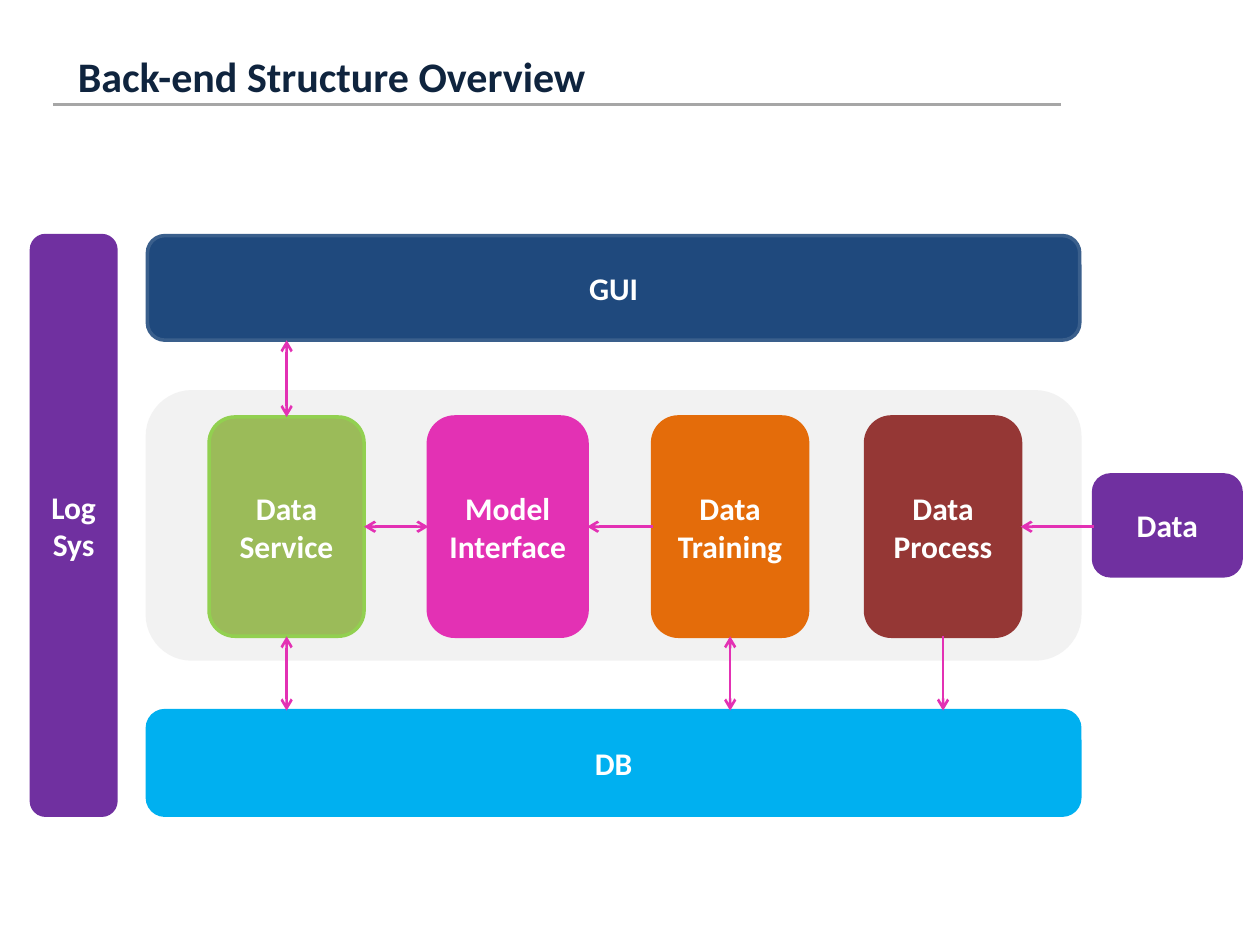
from lxml.etree import SubElement
from pptx import Presentation
from pptx.dml.color import RGBColor
from pptx.enum.shapes import MSO_CONNECTOR, MSO_SHAPE
from pptx.enum.text import MSO_ANCHOR, MSO_AUTO_SIZE, PP_ALIGN
from pptx.oxml.ns import qn
from pptx.util import Inches, Pt

COLORS = {
    "title": "0F243E", "rule": "A6A6A6", "text": "FFFFFF", "arrow": "E331B4",
    "purple": "7030A0", "panel": "F2F2F2", "navy": "1F497D", "navy edge": "3A5F8C",
    "sky": "00B0F0", "green": "9BBB59", "lime": "92D050", "pink": "E331B4",
    "orange": "E46C0A", "brown": "953735",
}
TITLE = "Back-end Structure Overview"
TITLE_FORMAT = {"name": "Calibri", "size": Pt(24), "bold": True}
LABEL_FORMAT = {"name": "Calibri", "size": Pt(18), "bold": True}

LAYER_LEFT, LAYER_WIDTH, LAYER_HEIGHT = 1.17, 7.4, 0.83
GUI_TOP, DB_TOP = 1.87, 5.64
MODULE_TOP, MODULE_HEIGHT = 3.31, 1.74

# name: (left, width, fill, edge, paragraphs)
MODULES = {
    "service": (1.66, 1.23, "green", "lime", ["Data Service"]),
    "model": (3.4, 1.26, "pink", "pink", ["Model", "Interface"]),
    "training": (5.18, 1.23, "orange", "orange", ["Data Training"]),
    "process": (6.87, 1.23, "brown", "brown", ["Data Process"]),
}
# name: (left, top, width, height, fill, edge, paragraphs)
BOXES = {
    "data": (8.68, 3.77, 1.17, 0.8, "purple", "purple", ["Data"]),
    "panel": (LAYER_LEFT, 3.11, LAYER_WIDTH, 2.12, "panel", "panel", []),
    "gui": (LAYER_LEFT, GUI_TOP, LAYER_WIDTH, LAYER_HEIGHT, "navy", "navy edge", ["GUI"]),
    "db": (LAYER_LEFT, DB_TOP, LAYER_WIDTH, LAYER_HEIGHT, "sky", "sky", ["DB"]),
    "log": (0.25, GUI_TOP, 0.67, DB_TOP + LAYER_HEIGHT - GUI_TOP,
            "purple", "purple", ["Log Sys"]),
}
for name, (left, width, *style) in MODULES.items():
    BOXES[name] = (left, MODULE_TOP, width, MODULE_HEIGHT, *style)

# (from, to, both ends have heads)
SIDEWAYS_ARROWS = [
    ("service", "model", True), ("training", "model", False), ("data", "process", False),
]
# (upper box, lower box, module that sets the column, both ends have heads)
UPRIGHT_ARROWS = [
    ("gui", "service", "service", True), ("service", "db", "service", True),
    ("training", "db", "training", True), ("process", "db", "process", False),
]


def color(name):
    return RGBColor.from_string(COLORS[name])


def write(paragraph, text, text_format, color_name):
    run = paragraph.add_run()
    run.text = text
    for attribute, value in text_format.items():
        setattr(run.font, attribute, value)
    run.font.color.rgb = color(color_name)


def add_box(slide, left, top, width, height, fill, edge, paragraphs):
    shape = slide.shapes.add_shape(
        MSO_SHAPE.ROUNDED_RECTANGLE, *map(Inches, (left, top, width, height)))
    shape.shadow.inherit = False
    shape.fill.solid()
    shape.fill.fore_color.rgb = color(fill)
    shape.line.color.rgb = color(edge)
    shape.line.width = Pt(2)
    frame = shape.text_frame
    frame.word_wrap = True
    frame.vertical_anchor = MSO_ANCHOR.MIDDLE
    for index, text in enumerate(paragraphs):
        paragraph = frame.add_paragraph() if index else frame.paragraphs[0]
        paragraph.alignment = PP_ALIGN.CENTER
        write(paragraph, text, LABEL_FORMAT, "text")


def add_line(slide, start, end, color_name, heads=()):
    """Draw a straight line; heads lists the ends (headEnd, tailEnd) with arrowheads."""
    line = slide.shapes.add_connector(
        MSO_CONNECTOR.STRAIGHT, *map(Inches, (*start, *end)))
    line.line.color.rgb = color(color_name)
    line.line.width = Pt(1.5)
    outline = line.line._get_or_add_ln()
    for head in heads:
        SubElement(outline, qn(f"a:{head}"), type="arrow")
    SubElement(line._element.spPr, qn("a:effectLst"))


def add_arrow(slide, start, end, both):
    heads = ("headEnd", "tailEnd") if both else ("tailEnd",)
    add_line(slide, start, end, "arrow", heads)


def add_title(slide):
    add_line(slide, (0.42, 0.83), (8.42, 0.83), "rule")
    box = slide.shapes.add_textbox(*map(Inches, (0.52, 0.35, 4.28, 0.5)))
    box.text_frame.word_wrap = False
    box.text_frame.auto_size = MSO_AUTO_SIZE.SHAPE_TO_FIT_TEXT
    write(box.text_frame.paragraphs[0], TITLE, TITLE_FORMAT, "title")


def add_arrows(slide):
    middle = MODULE_TOP + MODULE_HEIGHT / 2
    for source, target, both in SIDEWAYS_ARROWS:
        source_left, _, source_width, *_ = BOXES[source]
        target_left, _, target_width, *_ = BOXES[target]
        if source_left < target_left:
            start, end = source_left + source_width, target_left
        else:
            start, end = source_left, target_left + target_width
        add_arrow(slide, (start, middle), (end, middle), both)
    for upper, lower, column, both in UPRIGHT_ARROWS:
        left, width, *_ = MODULES[column]
        center = left + width / 2
        _, top, _, height, *_ = BOXES[upper]
        add_arrow(slide, (center, top + height), (center, BOXES[lower][1]), both)


def main():
    presentation = Presentation()
    presentation.slide_width, presentation.slide_height = Inches(10), Inches(7.5)
    slide = presentation.slides.add_slide(presentation.slide_layouts[6])
    add_title(slide)
    for box in BOXES.values():
        add_box(slide, *box)
    add_arrows(slide)
    presentation.save("out.pptx")


if __name__ == "__main__":
    main()
